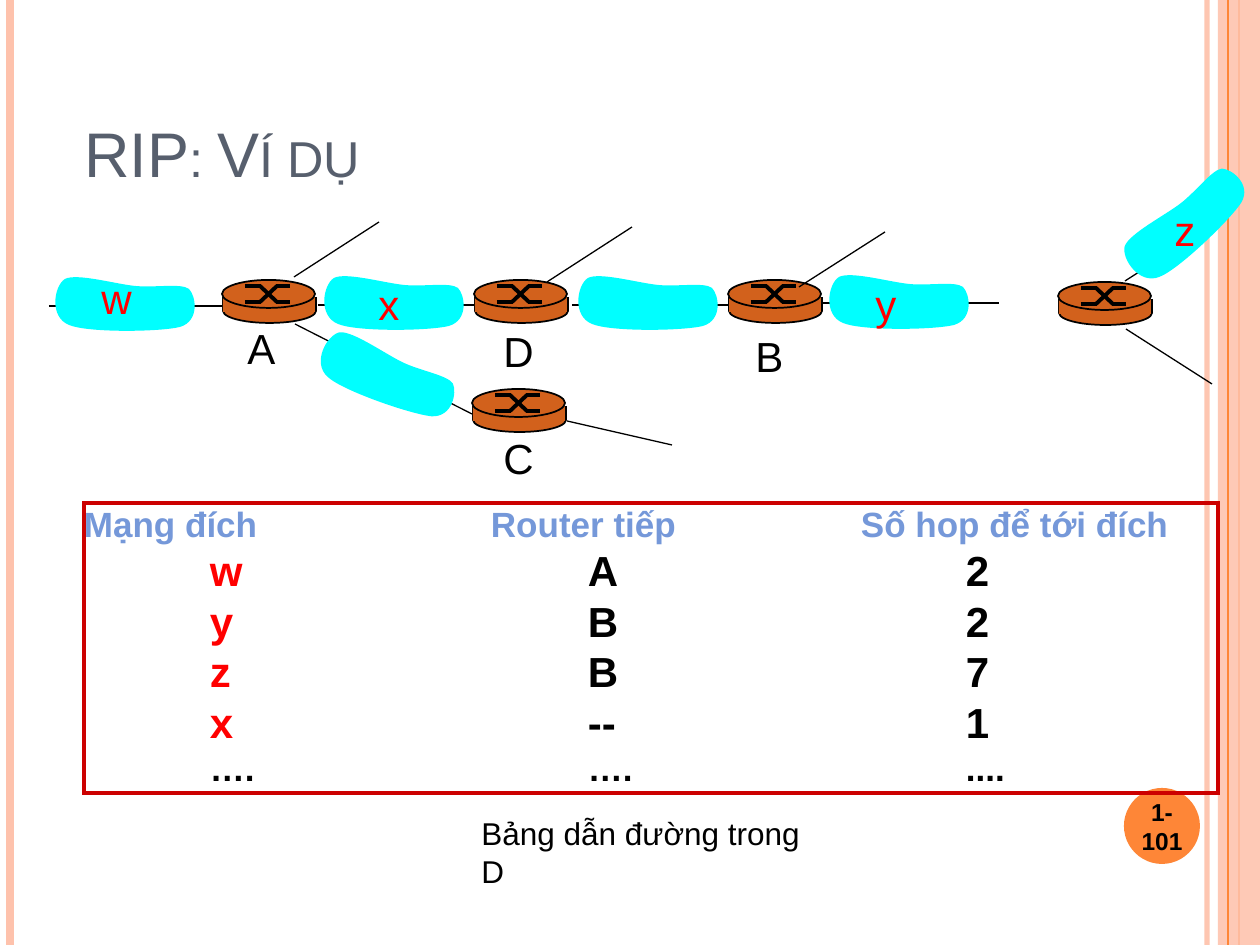
from lxml.etree import SubElement as Sub
from pptx import Presentation as Deck
from pptx.dml.color import RGBColor as Rgb
from pptx.enum.shapes import MSO_CONNECTOR as Conn, MSO_SHAPE as Kind
from pptx.enum.text import MSO_ANCHOR as Anchor, PP_ALIGN as Align
from pptx.oxml.ns import qn
from pptx.util import Pt

SCALE = 914400 / 126
HUES = {"ink": "000000", "red": "FF0000", "frame": "CC0000", "head": "7598D9",
        "title": "575F6D", "cloud": "00FFFF", "router": "D2611C",
        "peach": "FEC2AC", "orange": "FE8637"}
CLOUD = [(86, 13), (66, 11), (28, 0), (16, 6), (5, 13), (0, 44), (20, 52),
         (39, 60), (111, 59), (131, 54), (151, 48), (147, 23), (140, 16),
         (132, 10), (106, 15), (86, 13)]
CLOUDS = [(318, 272, 0), (49, 273, 0), (572, 272, 0), (823, 271, 0),
          (312, 345, 19.7), (1109, 193, 316.8)]
ROUTERS = [(222, 280), (474, 280), (728, 280), (472, 389), (1058, 282)]
CROSS = [(23, 6, 39, 6), (54, 22, 68, 22), (38, 6, 55, 22),
         (23, 22, 39, 22), (54, 6, 68, 6), (38, 22, 55, 6)]
LINKS = [(318, 305), (572, 305), (49, 306), (823, 303)]
STUBS = [(294, 277, 379, 222), (547, 282, 632, 227), (799, 287, 885, 232),
         (1125, 281, 1211, 226), (1126, 329, 1212, 384),
         (295, 324, 472, 414), (567, 421, 672, 445)]
LABELS = [("w", 89, 266, "red"), ("x", 366, 272, "red"),
          ("y", 863, 272, "red"), ("z", 1162, 198, "red"),
          ("A", 235, 316, "ink"), ("C", 491, 426, "ink"),
          ("D", 491, 319, "ink"), ("B", 743, 324, "ink")]
HEAD = ["Mạng đích", "Router tiếp", "Số hop để tới đích"]
ROWS = [("w", "A", "2"), ("y", "B", "2"), ("z", "B", "7"),
        ("x", "--", "1"), ("….", "….", "....")]


def px(*vals):
    """Turn px into EMU."""
    return [round(val * SCALE) for val in vals]


def hue(name):
    """Give the colour of that name."""
    return Rgb.from_string(HUES[name])


def assign(obj, vals):
    """Set each value on the object."""
    for key, val in vals.items():
        setattr(obj, key, val)


def fade(fill, part):
    """Make a solid fill partly opaque."""
    tone = fill._xPr.find(".//" + qn("a:srgbClr"))
    Sub(tone, qn("a:alpha"), val=str(part * 1000))


def paint(shape, fill=None, line=None, width=1):
    """Set the fill and outline of a shape."""
    shape.shadow.inherit = False
    if fill:
        shape.fill.solid()
        shape.fill.fore_color.rgb = hue(fill)
    else:
        shape.fill.background()
    if line:
        assign(shape.line, {"width": Pt(width)})
        shape.line.color.rgb = hue(line)
    else:
        shape.line.fill.background()
    return shape


def block(shapes, kind, box, **look):
    """Add a preset shape."""
    return paint(shapes.add_shape(kind, *px(*box)), **look)


def wire(shapes, ends, width=0.75, color="ink"):
    """Add a straight line."""
    line = shapes.add_connector(Conn.STRAIGHT, *px(*ends))
    line.line.width = Pt(width)
    line.line.color.rgb = hue(color)
    Sub(line._element.spPr, qn("a:effectLst"))
    return line


def write(para, text, size, color="ink", bold=False):
    """Add a run of text."""
    run = para.add_run()
    run.text = text
    vals = {"name": "Arial", "size": Pt(size), "bold": bold}
    assign(run.font, vals)
    run.font.color.rgb = hue(color)
    return run


def label(shapes, box, text, size, color="ink", bold=False,
          align=Align.LEFT, anchor=Anchor.TOP):
    """Add a text box with one run."""
    frame = shapes.add_textbox(*px(*box)).text_frame
    assign(frame, {"word_wrap": True, "vertical_anchor": anchor})
    para = frame.paragraphs[0]
    para.alignment = align
    return write(para, text, size, color, bold)


def cloud(shapes, left, top, turn):
    """Add a network cloud with curved edges."""
    pen = shapes.build_freeform(*CLOUD[0], scale=SCALE)
    pen.add_line_segments(CLOUD[1:], close=True)
    shape = paint(pen.convert_to_shape(*px(left, top)), fill="cloud")
    shape.rotation = turn
    track = shape._element.find(".//" + qn("a:path"))
    steps = track.findall(qn("a:lnTo"))
    for num in range(0, len(CLOUD) - 1, 3):
        curve = Sub(track, qn("a:cubicBezTo"))
        for step in steps[num:num + 3]:
            curve.append(step[0])
            track.remove(step)
    track.append(track.find(qn("a:close")))


def router(shapes, left, top):
    """Add a router as a group."""
    parts = shapes.add_group_shape().shapes

    def move(x, y, *size):
        return left + x, top + y, *size

    def draw(x, y, end, base, width):
        wire(parts, (left + x, top + y, left + end, top + base), width)

    edge = {"fill": "router", "line": "ink"}
    block(parts, Kind.OVAL, move(1, 19, 93, 24), **edge)
    for side in (1, 94):
        draw(side, 17, side, 31, 1)
    block(parts, Kind.RECTANGLE, move(1, 17, 92, 15), fill="router")
    block(parts, Kind.OVAL, move(0, 0, 93, 28), **edge)
    for mark in CROSS:
        draw(*mark, 2.25)


def stops(para, spots):
    """Set the tab stops of a paragraph."""
    tabs = Sub(para._p.get_or_add_pPr(), qn("a:tabLst"))
    for spot in px(*spots):
        Sub(tabs, qn("a:tab"), pos=str(spot), algn="l")


def routes(shapes):
    """Add the framed routing list."""
    box = block(shapes, Kind.RECTANGLE, (84, 503, 1134, 290),
                line="frame", width=2.25)
    Sub(box.line._ln, qn("a:miter"), lim="800000")
    frame = box.text_frame
    sides = ("left", "right", "top", "bottom")
    assign(frame, {f"margin_{side}": 0 for side in sides})
    assign(frame, {"word_wrap": True, "vertical_anchor": Anchor.TOP})
    for num, row in enumerate([HEAD, *ROWS]):
        para = frame.add_paragraph() if num else frame.paragraphs[0]
        para.alignment = Align.LEFT
        if num == 0:
            stops(para, (407, 777))
            write(para, "\t".join(row), 20, "head", True)
            continue
        last = num == len(ROWS)
        size = 20 if last else 24
        stops(para, (126, 504, 882))
        write(para, "\t" + row[0], size, "ink" if last else "red", True)
        write(para, "\t" + "\t".join(row[1:]), size, bold=True)


def decor(shapes):
    """Add the side bands and the page disc."""
    rail = wire(shapes, (1207, 0, 1207, 945), 3, "peach")
    fade(rail.line.fill, 93)
    wire(shapes, (10, 0, 10, 945), 4.5, "peach")
    wire(shapes, (1239, 0, 1239, 945), 1.5, "orange")
    band = block(shapes, Kind.RECTANGLE, (1218, 0, 42, 945), fill="peach")
    fade(band.fill, 87)
    wire(shapes, (1228, 0, 1228, 945), 0.75, "orange")
    block(shapes, Kind.OVAL, (1124, 788, 76, 76), fill="orange")


def main():
    """Build the slide and save it."""
    deck = Deck()
    wide, high = px(1260, 945)
    assign(deck, {"slide_width": wide, "slide_height": high})
    shapes = deck.slides.add_slide(deck.slide_layouts[6]).shapes
    decor(shapes)
    title = label(shapes, (72, 38, 1071, 158), "RIP: Ví dụ", 36, "title",
                  anchor=Anchor.BOTTOM)
    title.font._element.set("cap", "small")
    label(shapes, (1120, 790, 84, 72), "1-101", 14, bold=True,
          align=Align.CENTER, anchor=Anchor.MIDDLE)
    routes(shapes)
    for left, top in LINKS:
        wire(shapes, (left, top, left + 176, top), 1)
    for spot in ROUTERS:
        router(shapes, *spot)
    for ends in STUBS:
        wire(shapes, ends)
    for spot in CLOUDS:
        cloud(shapes, *spot)
    for text, left, top, color in LABELS:
        label(shapes, (left, top, 55, 63), text, 24, color)
    label(shapes, (469, 808, 372, 50), "Bảng dẫn đường trong D", 18)
    deck.save("out.pptx")


if __name__ == "__main__":
    main()
